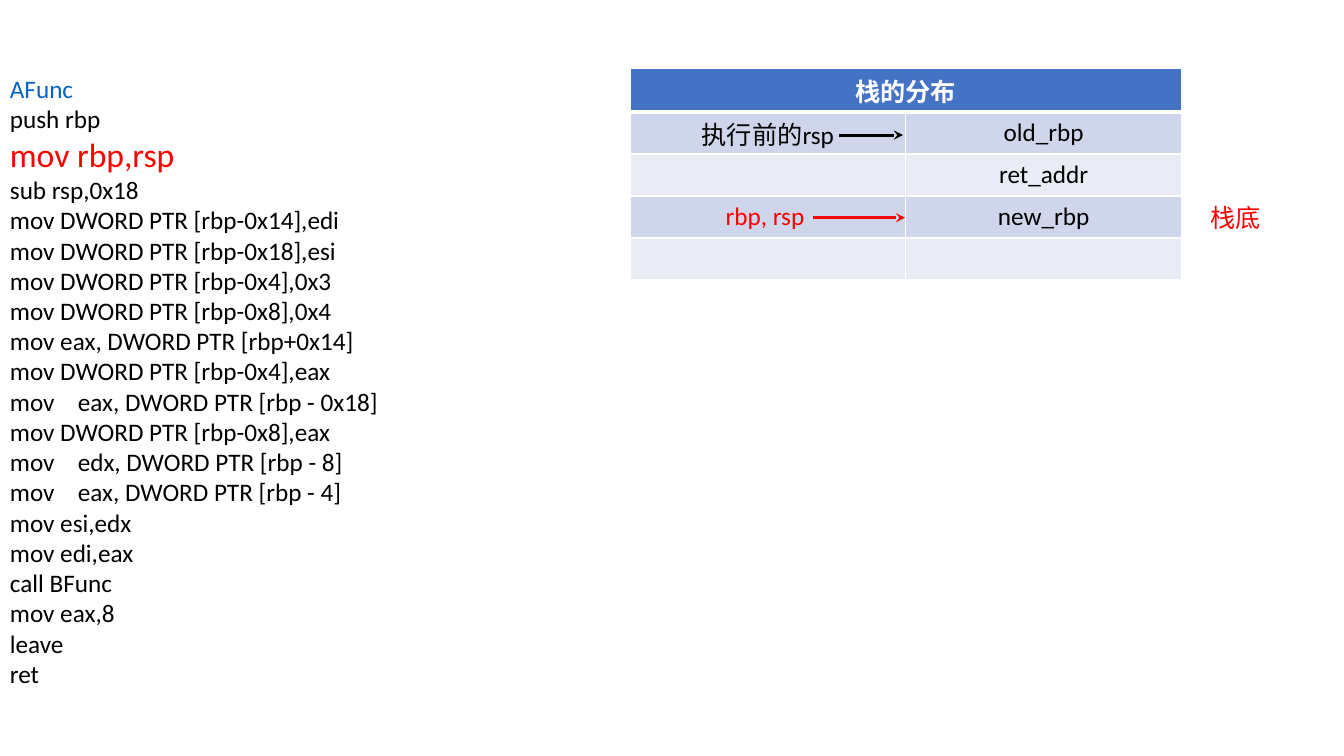
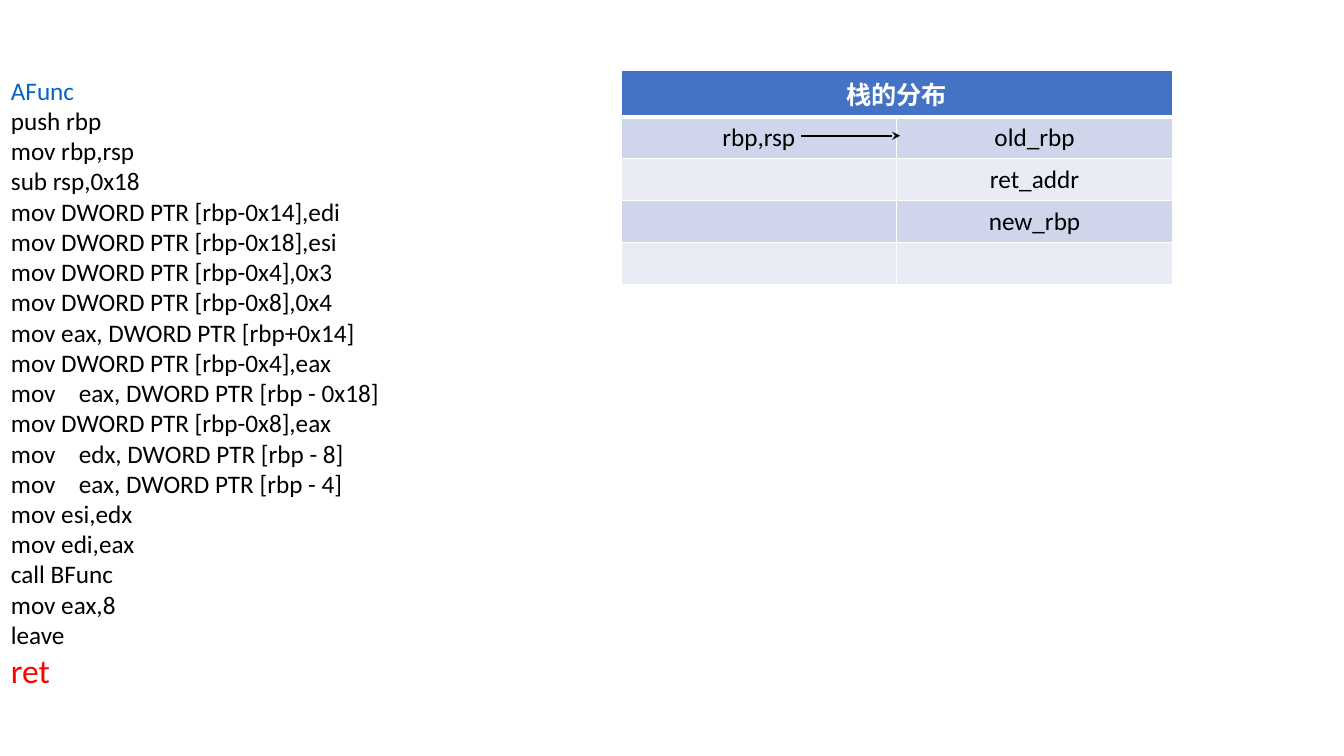
from lxml import etree
from pptx import Presentation
from pptx.dml.color import RGBColor
from pptx.enum.shapes import MSO_CONNECTOR
from pptx.enum.text import MSO_ANCHOR, MSO_AUTO_SIZE, PP_ALIGN
from pptx.oxml.ns import qn
from pptx.util import Pt

STRAIGHT = MSO_CONNECTOR.STRAIGHT
MIDDLE = MSO_ANCHOR.MIDDLE
CENTER = PP_ALIGN.CENTER
FIT_SHAPE = MSO_AUTO_SIZE.SHAPE_TO_FIT_TEXT

COLORS = {
    "text": "000000",
    "highlight": "FF0000",
    "function": "0563C1",
    "white": "FFFFFF",
    "header": "4472C4",
    "odd_row": "CFD5EA",
    "even_row": "E9EBF5",
}
FONT = "Calibri"
BODY_SIZE = 18
CURRENT_SIZE = 24
OPERAND_TAB = 48.5
COLUMN_WIDTH = 197
ROW_HEIGHT = 30
STACK_TITLE = "栈的分布"

CODE = [
    "AFunc",
    "push rbp",
    "mov rbp,rsp",
    "sub rsp,0x18",
    "mov DWORD PTR [rbp-0x14],edi",
    "mov DWORD PTR [rbp-0x18],esi",
    "mov DWORD PTR [rbp-0x4],0x3",
    "mov DWORD PTR [rbp-0x8],0x4",
    "mov eax, DWORD PTR [rbp+0x14]",
    "mov DWORD PTR [rbp-0x4],eax",
    "mov\teax, DWORD PTR [rbp - 0x18]",
    "mov DWORD PTR [rbp-0x8],eax",
    "mov\tedx, DWORD PTR [rbp - 8]",
    "mov\teax, DWORD PTR [rbp - 4]",
    "mov esi,edx",
    "mov edi,eax",
    "call BFunc",
    "mov eax,8",
    "leave",
    "ret",
]


def rgb(color):
    return RGBColor.from_string(COLORS[color])


def write(paragraph, text, *, size=BODY_SIZE, color="text", bold=False, align=None):
    run = paragraph.add_run()
    run.text = text
    run.font.name = FONT
    run.font.size = Pt(size)
    run.font.bold = bold
    run.font.color.rgb = rgb(color)
    paragraph.alignment = align


def add_text_frame(slide, left, top, width, height):
    frame = slide.shapes.add_textbox(Pt(left), Pt(top), Pt(width), Pt(height)).text_frame
    frame.word_wrap = True
    return frame


def set_operand_tab(paragraph):
    tabs = etree.SubElement(paragraph._p.get_or_add_pPr(), qn("a:tabLst"))
    etree.SubElement(tabs, qn("a:tab"), pos=str(Pt(OPERAND_TAB)), algn="l")


def add_code(slide, left, top, height, current):
    """List the instructions, with the current one large and red."""
    frame = add_text_frame(slide, left, top, 361.5, height)
    for index, instruction in enumerate(CODE):
        paragraph = frame.add_paragraph() if index else frame.paragraphs[0]
        if instruction == current:
            write(paragraph, instruction, size=CURRENT_SIZE, color="highlight")
        else:
            write(paragraph, instruction, color="text" if index else "function")
        if "\t" in instruction:
            set_operand_tab(paragraph)


def set_borders(cell, **widths):
    """Draw white cell borders; widths are in points by side: L, R, T, B."""
    properties = cell._tc.get_or_add_tcPr()
    for position, side in enumerate("LRTB"):
        border = etree.Element(qn(f"a:ln{side}"), w=str(Pt(widths.get(side, 1))))
        fill = etree.SubElement(border, qn("a:solidFill"))
        etree.SubElement(fill, qn("a:srgbClr"), val=COLORS["white"])
        properties.insert(position, border)


def format_cell(cell, fill, **borders):
    cell.fill.solid()
    cell.fill.fore_color.rgb = rgb(fill)
    cell.vertical_anchor = MIDDLE
    cell.margin_top = cell.margin_bottom = Pt(2)
    set_borders(cell, **borders)


def add_stack(slide, left, top, header_height, registers, highlighted=None):
    """Draw the stack; registers maps a stack slot to what points at it."""
    slots = ["old_rbp", "ret_addr", "new_rbp", ""]
    height = header_height + ROW_HEIGHT * len(slots)
    stack = slide.shapes.add_table(
        len(slots) + 1, 2, Pt(left), Pt(top), Pt(2 * COLUMN_WIDTH), Pt(height)
    ).table
    for column in stack.columns:
        column.width = Pt(COLUMN_WIDTH)
    stack.rows[0].height = Pt(header_height)

    for cell in stack.rows[0].cells:
        format_cell(cell, "header", B=3)
    title = stack.cell(0, 0)
    title.merge(stack.cell(0, 1))
    write(title.text_frame.paragraphs[0], STACK_TITLE,
          color="white", bold=True, align=CENTER)

    for row, slot in enumerate(slots, start=1):
        stack.rows[row].height = Pt(ROW_HEIGHT)
        for column, text in enumerate((registers.get(slot, ""), slot)):
            cell = stack.cell(row, column)
            format_cell(cell, "odd_row" if row % 2 else "even_row",
                        T=3 if row == 1 else 1)
            if text:
                marked = column == 0 and slot == highlighted
                write(cell.text_frame.paragraphs[0], text, align=CENTER,
                      color="highlight" if marked else "text")


def add_pointer(slide, start, end, y, color="text", width=2.25):
    pointer = slide.shapes.add_connector(STRAIGHT, Pt(start), Pt(y), Pt(end), Pt(y))
    pointer.line.color.rgb = rgb(color)
    pointer.line.width = Pt(width)
    properties = pointer._element.spPr
    etree.SubElement(properties.find(qn("a:ln")), qn("a:tailEnd"), type="stealth")
    etree.SubElement(properties, qn("a:effectLst"))


def add_stack_bottom_label(slide):
    frame = add_text_frame(slide, 857.5, 141, 51, 29)
    frame.auto_size = FIT_SHAPE
    write(frame.paragraphs[0], "栈底", color="highlight")


def add_frame_setup(slide):
    add_stack_bottom_label(slide)
    add_stack(slide, 450, 49, 31,
              {"old_rbp": "执行前的rsp", "new_rbp": "rbp, rsp "},
              highlighted="new_rbp")
    add_pointer(slide, 581, 646.5, 155.5, color="highlight")
    add_pointer(slide, 599.5, 645, 96.5)
    add_code(slide, 0, 49, 443.5, current="mov rbp,rsp")


def add_function_return(slide):
    add_code(slide, 0.7, 50, 490, current="ret")
    add_stack(slide, 443.5, 50, 33.4, {"old_rbp": "rbp,rsp"})
    add_pointer(slide, 572.5, 643, 97, width=1.5)


def main():
    presentation = Presentation()
    presentation.slide_width = Pt(960)
    presentation.slide_height = Pt(540)
    blank = presentation.slide_layouts[6]
    for fill_slide in (add_frame_setup, add_function_return):
        fill_slide(presentation.slides.add_slide(blank))
    presentation.save("out.pptx")


if __name__ == "__main__":
    main()
